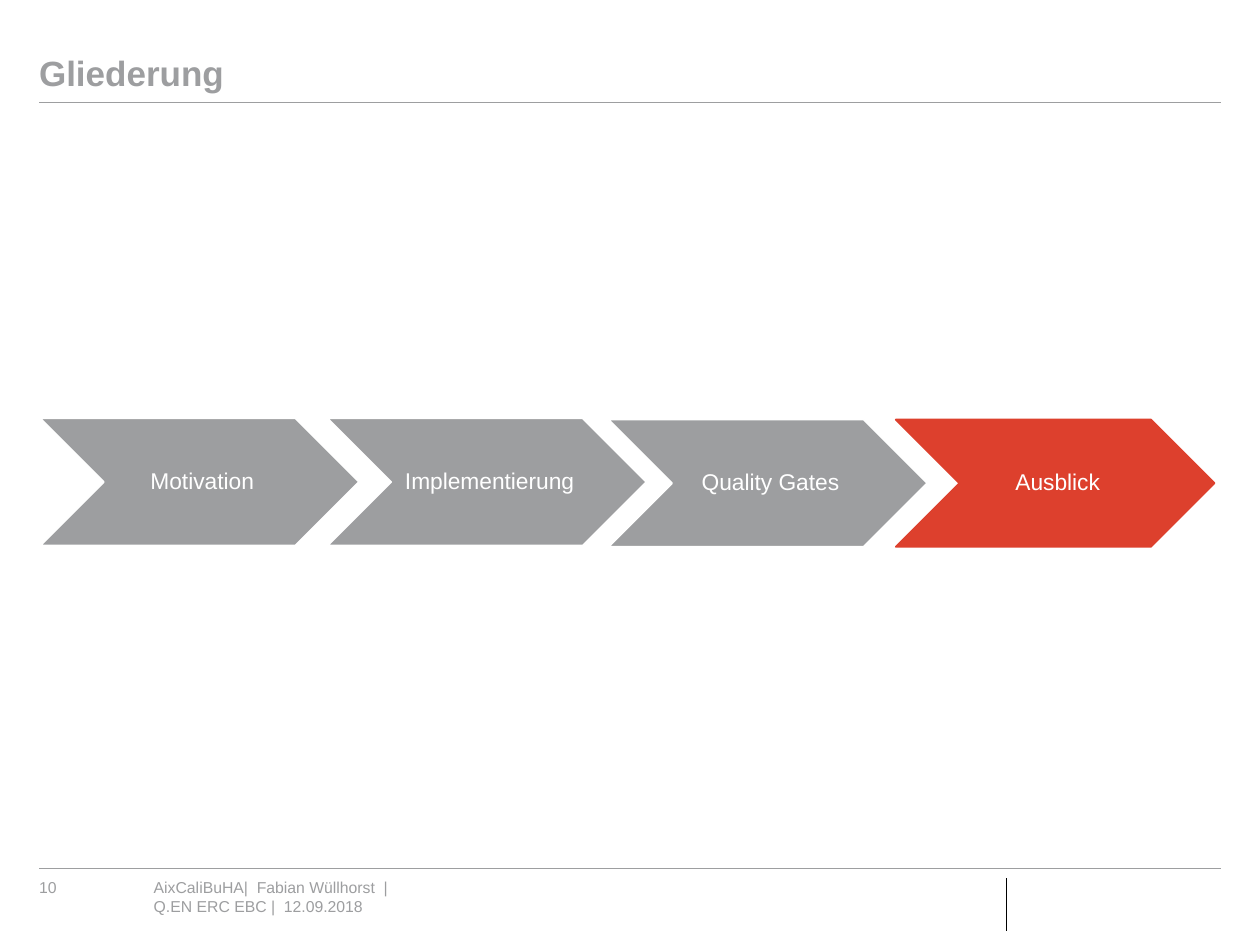
from pptx import Presentation
from pptx.dml.color import RGBColor
from pptx.enum import shapes, text
from pptx.oxml.ns import qn
from pptx.util import Inches, Pt
from lxml import etree

GREY, RED, WHITE, BLACK = "9D9EA0", "DD402D", "FFFFFF", "000000"


def paint(part, color):
    """Give a fill, line or font one solid colour."""
    if hasattr(part, "solid"):
        part.solid()
        part.fore_color.rgb = RGBColor.from_string(color)
    else:
        part.color.rgb = RGBColor.from_string(color)


def write(shape, words, size, color, pad=(0, 0, 0, 0)):
    """Set the text of a shape, its margins and its font."""
    frame = shape.text_frame
    frame.text = words
    frame.word_wrap = True
    frame.margin_left, frame.margin_top, frame.margin_right, frame.margin_bottom = map(Inches, pad)
    for para in frame.paragraphs:
        for run in para.runs:
            run.font.name = "Arial"
            run.font.size = Pt(size)
            paint(run.font, color)
    return frame


deck = Presentation()
deck.slide_width, deck.slide_height = Inches(10), Inches(7.5)
slide = deck.slides.add_slide(deck.slide_layouts[5])

# Rules under the title and above the footer, and the footer bar
for x1, y1, x2, y2, color, width in [
    (0.31, 0.81, 9.69, 0.81, GREY, 0.5),
    (0.31, 6.89, 9.69, 6.89, GREY, 0.5),
    (7.99, 6.97, 7.99, 7.39, BLACK, 0.75),
]:
    rule = slide.shapes.add_connector(
        shapes.MSO_CONNECTOR.STRAIGHT, Inches(x1), Inches(y1), Inches(x2), Inches(y2))
    paint(rule.line, color)
    rule.line.width = Pt(width)
    etree.SubElement(rule._element.spPr, qn("a:effectLst"))

# Title
title = slide.shapes.title
title.left, title.top, title.width, title.height = map(Inches, (0.31, 0.16, 9.37, 0.59))
frame = write(title, "Gliederung", 20, GREY)
frame.vertical_anchor = text.MSO_ANCHOR.BOTTOM
frame.auto_size = text.MSO_AUTO_SIZE.NONE
head = frame.paragraphs[0]
head.alignment = text.PP_ALIGN.LEFT
head.line_spacing = 0.9
head.runs[0].font.bold = True

# Steps of the outline, the current one in red
for name, left, top, fill, edge in [
    ("Motivation", 0.32, 3.32, GREY, WHITE),
    ("Implementierung", 2.6, 3.32, GREY, WHITE),
    ("Quality Gates", 4.83, 3.33, GREY, WHITE),
    ("Ausblick", 7.11, 3.33, RED, RED),
]:
    step = slide.shapes.add_shape(
        shapes.MSO_SHAPE.CHEVRON, Inches(left), Inches(top), Inches(2.53), Inches(1.01))
    step.shadow.inherit = False
    paint(step.fill, fill)
    paint(step.line, edge)
    step.line.width = Pt(1)
    frame = write(step, name, 13, WHITE, (0.06, 0.02, 0.02, 0.02))
    frame.vertical_anchor = text.MSO_ANCHOR.MIDDLE
    frame.paragraphs[0].alignment = text.PP_ALIGN.CENTER
    frame.paragraphs[0].line_spacing = 0.9

# Footer: page number and talk details
for words, left, width, height in [
    ("10", 0.31, 0.72, 0.15),
    ("AixCaliBuHA|  Fabian Wüllhorst  |\nQ.EN ERC EBC |  12.09.2018", 1.22, 2.95, 0.47),
]:
    note = slide.shapes.add_textbox(Inches(left), Inches(6.97), Inches(width), Inches(height))
    write(note, words, 9, GREY)

deck.save("out.pptx")
